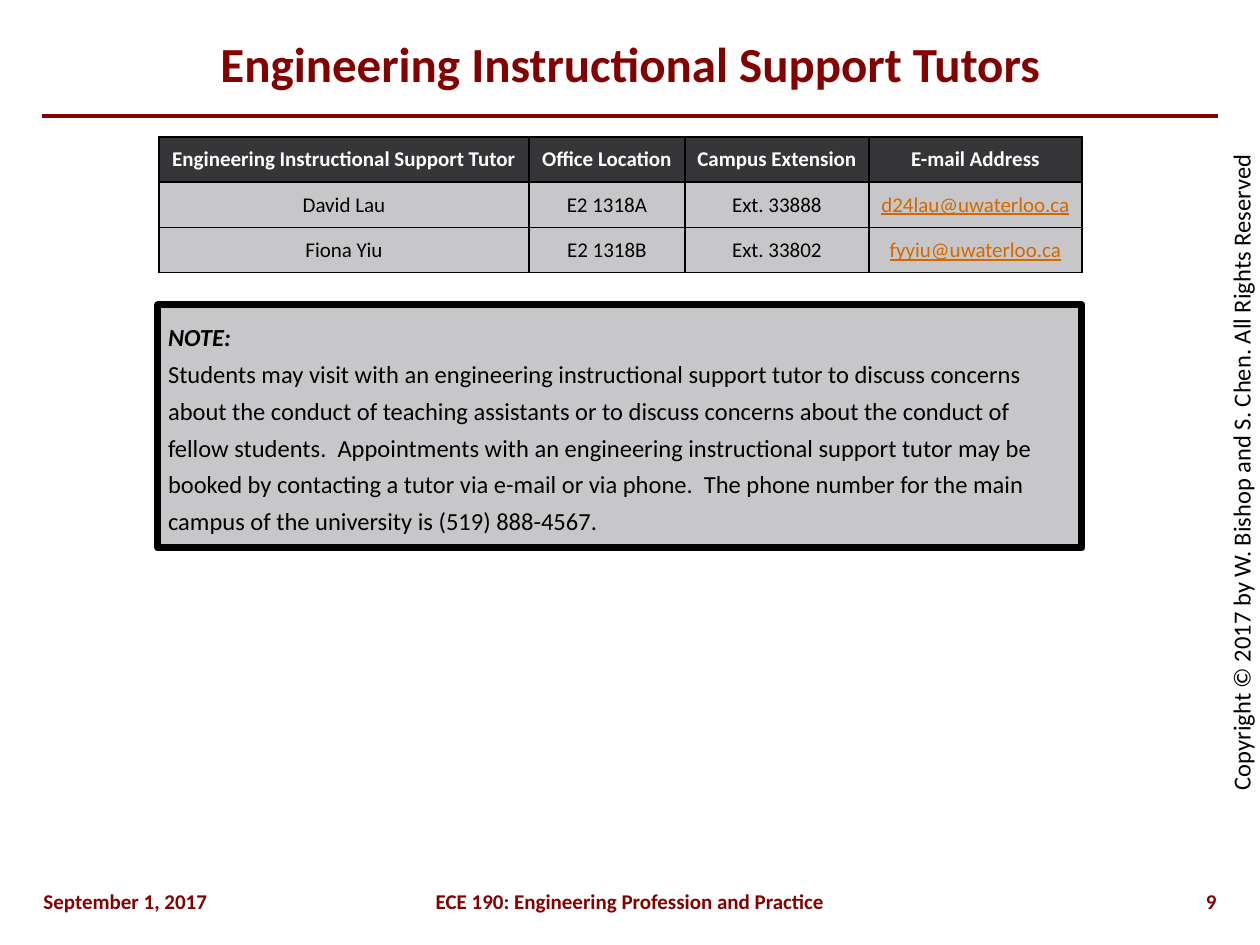
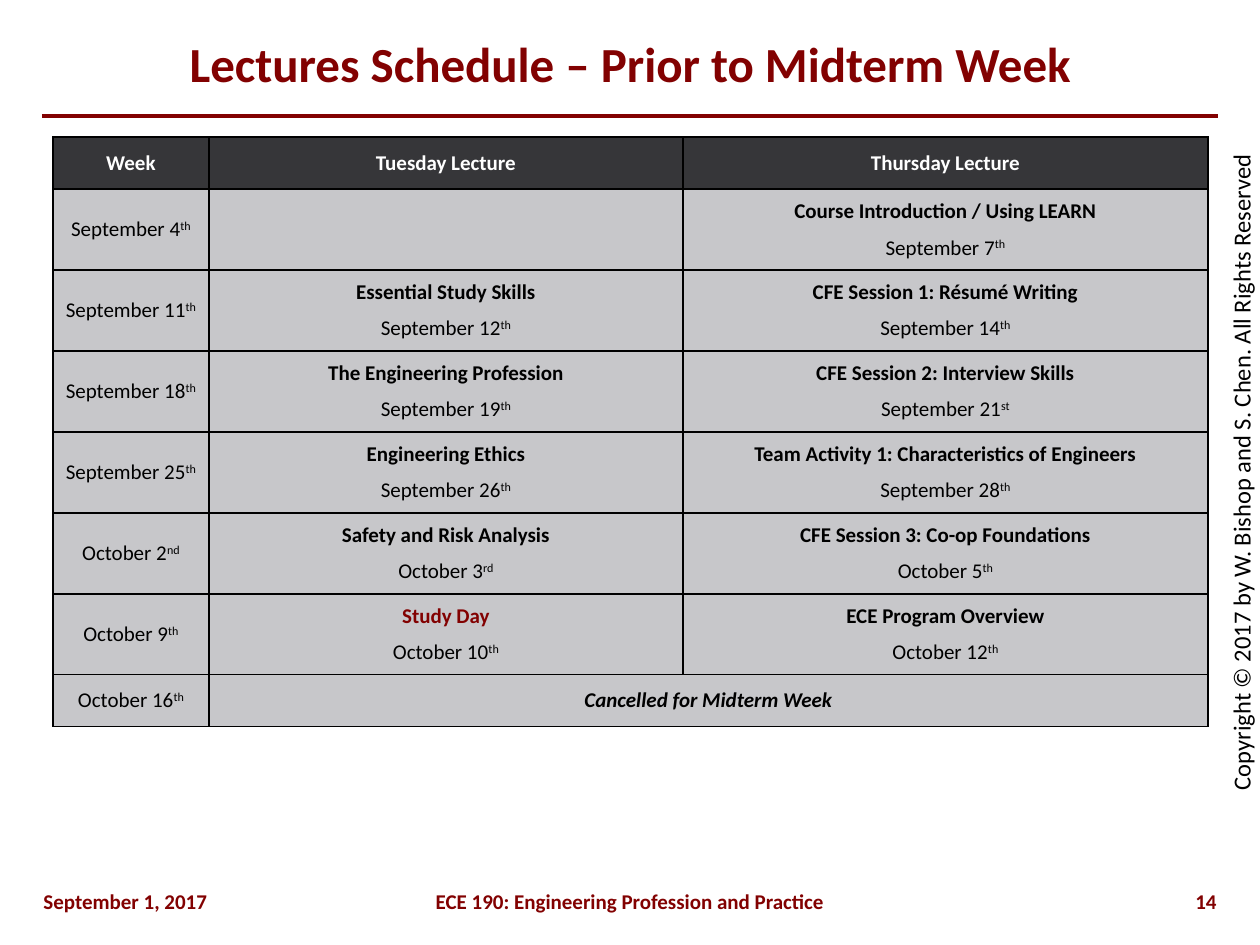
from lxml import etree
from pptx import Presentation
from pptx.dml.color import RGBColor
from pptx.enum.shapes import MSO_CONNECTOR, MSO_SHAPE
from pptx.enum.text import MSO_ANCHOR, PP_ALIGN
from pptx.oxml.ns import qn
from pptx.util import Pt

EMU_PER_PX = 914400 / 126
MAROON = RGBColor(0x82, 0x01, 0x01)
BLACK = RGBColor(0, 0, 0)
WHITE = RGBColor(0xFF, 0xFF, 0xFF)
CHARCOAL = RGBColor(0x36, 0x36, 0x39)
GREY = RGBColor(0xC7, 0xC7, 0xCA)
ORANGE = RGBColor(0xD2, 0x69, 0x00)
FONT = "Calibri"
LEFT, CENTER, RIGHT = PP_ALIGN.LEFT, PP_ALIGN.CENTER, PP_ALIGN.RIGHT
TOP, MIDDLE = MSO_ANCHOR.TOP, MSO_ANCHOR.MIDDLE
STRAIGHT, RECTANGLE = MSO_CONNECTOR.STRAIGHT, MSO_SHAPE.RECTANGLE
INSET = 10


def px(n):
    return round(n * EMU_PER_PX)


def add_run(p, text, size=12, color=BLACK, bold=False, italic=False,
            underline=False, raised=False):
    r = p.add_run()
    r.text = text
    font = r.font
    font.name, font.size = FONT, Pt(size)
    font.bold, font.italic, font.underline = bold, italic, underline
    font.color.rgb = color
    if raised:
        r._r.get_or_add_rPr().set("baseline", "30000")


def write(tf, lines, align=CENTER, gap=0, spacing=None):
    for i, (text, style) in enumerate(lines):
        p = tf.add_paragraph() if i else tf.paragraphs[0]
        p.alignment = align
        p.space_before = Pt(gap if i else 0)
        if spacing:
            p.line_spacing = spacing
        base, _, suffix = text.partition("^")
        add_run(p, base, **style)
        if suffix:
            add_run(p, suffix, raised=True, **style)


def add_label(s, box, text, align=CENTER, anchor=TOP, **style):
    sp = s.shapes.add_textbox(*map(px, box))
    tf = sp.text_frame
    tf.word_wrap = True
    tf.vertical_anchor = anchor
    write(tf, [(text, style)], align)
    return sp


def add_frame(prs, title, number):
    s = prs.slides.add_slide(prs.slide_layouts[6])
    rule = s.shapes.add_connector(STRAIGHT, px(42), px(116), px(1218), px(116))
    rule.line.color.rgb = MAROON
    rule.line.width = Pt(2.25)
    etree.SubElement(rule._element.spPr, qn("a:effectLst"))
    notice = add_label(
        s, (790, 451, 903, 43),
        "Copyright © 2017 by W. Bishop and S. Chen. All Rights Reserved", size=14)
    notice.rotation = 270
    add_label(s, (42, 21, 1176, 84), title, anchor=MIDDLE,
              size=28, color=MAROON, bold=True)
    for left, width, text, align in (
            (31, 221, "September 1, 2017", LEFT),
            (210, 840, "ECE 190: Engineering Profession and Practice", CENTER),
            (1071, 158, str(number), RIGHT)):
        add_label(s, (left, 882, width, 32), text, align, color=MAROON, bold=True)
    return s


def set_insets(holder):
    holder.margin_left = holder.margin_right = px(INSET)
    holder.margin_top = holder.margin_bottom = px(INSET)


def add_borders(cell):
    tcPr = cell._tc.get_or_add_tcPr()
    for side in ("a:lnL", "a:lnR", "a:lnT", "a:lnB"):
        ln = etree.SubElement(tcPr, qn(side), w=str(Pt(1)))
        fill = etree.SubElement(ln, qn("a:solidFill"))
        etree.SubElement(fill, qn("a:srgbClr"), val=str(BLACK))


def add_grid(s, left, top, widths, heights, header, body):
    rows = [[[(text, dict(color=WHITE, bold=True))] for text in header]] + body
    frame = s.shapes.add_table(len(rows), len(widths), px(left), px(top),
                               px(sum(widths)), px(sum(heights)))
    table = frame.table
    for column, width in zip(table.columns, widths):
        column.width = px(width)
    for i, (row, height) in enumerate(zip(rows, heights)):
        table.rows[i].height = px(height)
        for j, lines in enumerate(row):
            cell = table.cell(i, j)
            set_insets(cell)
            cell.vertical_anchor = MIDDLE
            add_borders(cell)
            cell.fill.solid()
            cell.fill.fore_color.rgb = GREY if i else CHARCOAL
            write(cell.text_frame, lines, gap=6)
    return table


def add_note(s, box, heading, body):
    sp = s.shapes.add_shape(RECTANGLE, *map(px, box))
    sp.shadow.inherit = False
    sp.fill.solid()
    sp.fill.fore_color.rgb = GREY
    sp.line.color.rgb = BLACK
    sp.line.width = Pt(4)
    tf = sp.text_frame
    tf.word_wrap = True
    tf.vertical_anchor = TOP
    set_insets(tf)
    write(tf, [(heading, dict(size=14, bold=True, italic=True)),
               (body, dict(size=14))], LEFT, spacing=1.25)


def build_tutors(prs):
    s = add_frame(prs, "Engineering Instructional Support Tutors", 9)
    tutors = [
        ("David Lau", "E2 1318A", "Ext. 33888", "d24lau@uwaterloo.ca"),
        ("Fiona Yiu", "E2 1318B", "Ext. 33802", "fyyiu@uwaterloo.ca"),
    ]
    email_style = dict(color=ORANGE, underline=True)
    body = [[[(text, {})] for text in details] + [[(email, email_style)]]
            for *details, email in tutors]
    add_grid(s, 159, 137, (370, 156, 184, 213), [45] * 3,
             ("Engineering Instructional Support Tutor", "Office Location",
              "Campus Extension", "E-mail Address"), body)
    add_note(s, (158, 305, 924, 243), "NOTE:",
             "Students may visit with an engineering instructional support tutor to "
             "discuss concerns about the conduct of teaching assistants or to discuss "
             "concerns about the conduct of fellow students.  Appointments with an "
             "engineering instructional support tutor may be booked by contacting a "
             "tutor via e-mail or via phone.  The phone number for the main campus of "
             "the university is (519) 888-4567.")


def lecture(topic, date, color=BLACK):
    return [(topic, dict(bold=True, color=color)), (date, {})]


def build_schedule(prs):
    s = add_frame(prs, "Lectures Schedule – Prior to Midterm Week", 14)
    weeks = [
        ("September 4^th", [],
         lecture("Course Introduction / Using LEARN", "September 7^th")),
        ("September 11^th", lecture("Essential Study Skills", "September 12^th"),
         lecture("CFE Session 1: Résumé Writing", "September 14^th")),
        ("September 18^th", lecture("The Engineering Profession", "September 19^th"),
         lecture("CFE Session 2: Interview Skills", "September 21^st")),
        ("September 25^th", lecture("Engineering Ethics", "September 26^th"),
         lecture("Team Activity 1: Characteristics of Engineers", "September 28^th")),
        ("October 2^nd", lecture("Safety and Risk Analysis", "October 3^rd"),
         lecture("CFE Session 3: Co-op Foundations", "October 5^th")),
        ("October 9^th", lecture("Study Day", "October 10^th", MAROON),
         lecture("ECE Program Overview", "October 12^th")),
        ("October 16^th",
         [("Cancelled for Midterm Week", dict(bold=True, italic=True))], []),
    ]
    body = [[[(week, {})], tuesday, thursday] for week, tuesday, thursday in weeks]
    table = add_grid(s, 53, 137, (156, 474, 525), [52] + [81] * 6 + [52],
                     ("Week", "Tuesday Lecture", "Thursday Lecture"), body)
    last = len(weeks)
    table.cell(last, 1).merge(table.cell(last, 2))


def main():
    prs = Presentation()
    prs.slide_width, prs.slide_height = px(1260), px(945)
    build_tutors(prs)
    build_schedule(prs)
    prs.save("out.pptx")


if __name__ == "__main__":
    main()
